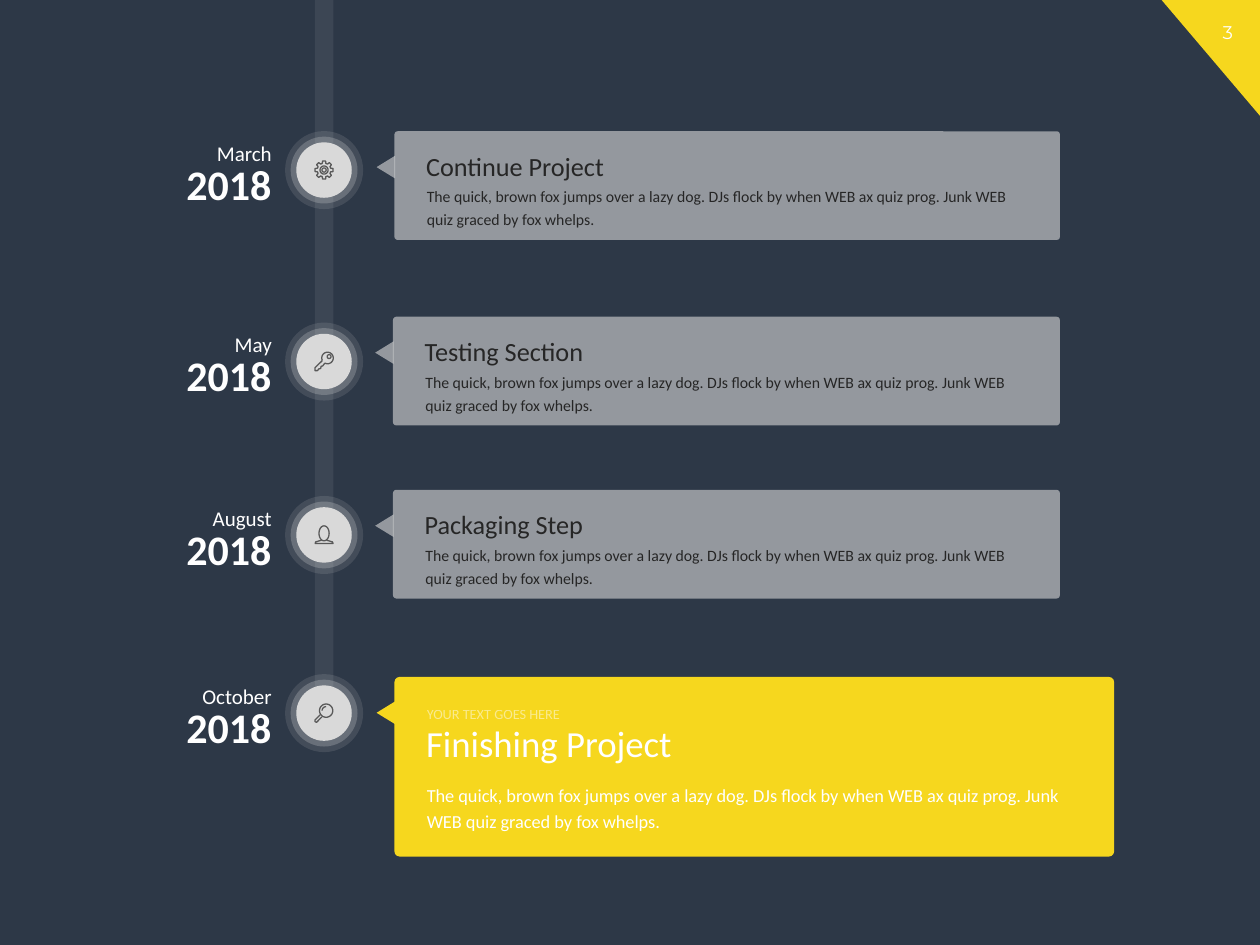
from math import cos, pi, sin

from lxml import etree
from pptx import Presentation
from pptx.dml.color import RGBColor
from pptx.enum import shapes, text
from pptx.oxml.ns import qn
from pptx.util import Pt

NAVY, YELLOW, LIGHT, WHITE = "2D3847", "F6D71E", "D9D9D9", "FFFFFF"
DARK, ICON = "262626", "595959"
BODY = ("The quick, brown fox jumps over a lazy dog. DJs flock by when WEB ax "
        "quiz prog. Junk WEB quiz graced by fox whelps.")
MSO = shapes.MSO_SHAPE
LEFT, RIGHT, CENTER = text.PP_ALIGN.LEFT, text.PP_ALIGN.RIGHT, text.PP_ALIGN.CENTER


def paint(fmt, color, alpha=100):
    """Give a fill a solid colour with an opacity in percent."""
    fmt.solid()
    fmt.fore_color.rgb = RGBColor.from_string(color)
    if alpha < 100:
        clr = fmt._xPr.find(".//" + qn("a:srgbClr"))
        etree.SubElement(clr, qn("a:alpha")).set("val", str(alpha * 1000))


def add_shape(s, kind, x, y, w, h, color, alpha=100, rotation=0):
    """Add a borderless preset shape."""
    sp = s.shapes.add_shape(kind, Pt(x), Pt(y), Pt(w), Pt(h))
    sp.shadow.inherit = False
    sp.line.fill.background()
    sp.rotation = rotation
    paint(sp.fill, color, alpha)
    return sp


def add_text(s, x, y, w, h, words, size, color, align=LEFT, spacing=None,
             bold=False, alpha=100, font="Calibri"):
    """Add a wrapped one-paragraph text box."""
    tf = s.shapes.add_textbox(Pt(x), Pt(y), Pt(w), Pt(h)).text_frame
    tf.word_wrap = True
    p = tf.paragraphs[0]
    p.text = words
    p.alignment = align
    p.line_spacing = spacing
    r = p.runs[0]
    r.font.size, r.font.name, r.font.bold = Pt(size), font, bold
    paint(r.font.fill, color, alpha)


def arc(cx, cy, rx, ry, start=0, end=360, steps=24):
    """Return points along an elliptical arc given in degrees."""
    angles = [(start + (end - start) * i / steps) * pi / 180 for i in range(steps + 1)]
    return [(cx + rx * cos(a), cy + ry * sin(a)) for a in angles]


def gear():
    """Return the strokes of a gear."""
    teeth = [(r * cos(a), r * sin(a)) for i in range(8)
             for r, d in ((3.9, -.26), (5.2, -.17), (5.2, .17), (3.9, .26))
             for a in [i * pi / 4 + d]]
    return [teeth + teeth[:1], arc(0, 0, 2.3, 2.3), arc(0, 0, 1.2, 1.2)]


def key():
    """Return the strokes of a key."""
    shaft = [(-1, -.5), (-5.2, 3.6), (-5.2, 5.2), (-3.8, 5.2), (-2.9, 4.2),
             (-1.9, 4), (-1.7, 2.8), (-.7, 2.5), (.4, 1)]
    return [arc(2, -2, 3.3, 3.3, -206, 120), shaft, arc(2.9, -2.8, 1.1, 1.1)]


def person():
    """Return the strokes of a head and shoulders."""
    shoulders = [(-1.4, 3), (-4.8, 4), (-5.1, 4.9), (5.1, 4.9), (4.8, 4), (1.4, 3)]
    return [arc(0, -.9, 2.9, 4.3), shoulders]


def magnifier():
    """Return the strokes of a magnifying glass."""
    handle = [(-2.2, 1), (-5.2, 4), (-5.1, 5), (-4.2, 5.2), (-1.2, 2.1)]
    return [arc(1.2, -1.4, 3.8, 3.8), handle, arc(1.2, -1.4, 2.3, 2.3, 180, 270)]


def add_icon(s, cx, cy, strokes):
    """Draw strokes as one outline around a centre."""
    placed = [[(Pt(cx + x), Pt(cy + y)) for x, y in stroke] for stroke in strokes]
    fb = s.shapes.build_freeform(*placed[0][0])
    for i, stroke in enumerate(placed):
        if i:
            fb.move_to(*stroke[0])
        fb.add_line_segments(stroke[1:], close=False)
    sp = fb.convert_to_shape()
    sp.shadow.inherit = False
    sp.fill.background()
    sp.line.width = Pt(0.75)
    paint(sp.line.fill, ICON)


def add_milestone(s, cx, cy, month, strokes):
    """Place the date and the ringed icon around a point on the line."""
    add_text(s, cx - 116.6, cy - 10.2, 93.6, 36, "2018", 24, WHITE, RIGHT, bold=True)
    add_text(s, cx - 108.5, cy - 23.4, 85.7, 24.5, month, 12, WHITE, RIGHT, 1.2)
    for d, alpha in ((44.6, 13), (38.2, 25), (31.7, 100)):
        add_shape(s, MSO.OVAL, cx - d / 2, cy - d / 2, d, d, LIGHT, alpha)
    add_icon(s, cx, cy, strokes)


def add_bubble(s, x, y, w, h, color, alpha=100):
    """Place a rounded card with a pointer on its left."""
    sp = add_shape(s, MSO.ROUNDED_RECTANGLE, x, y, w, h, color, alpha)
    sp.adjustments[0] = 0.03
    add_shape(s, MSO.ISOSCELES_TRIANGLE, x - 11.4, y + 15.2, 13, 10.6, color, alpha, 270)


def add_step(s, x, y, w, h, title):
    """Place a grey step card."""
    add_bubble(s, x, y, w, h, LIGHT, 60)
    add_text(s, x + 11.4, y + 26.2, 350.6, 33, BODY, 9, DARK, spacing=1.2)
    add_text(s, x + 11, y + 7.2, 378.7, 25.2, title, 15, DARK)


def add_finish(s, x, y, w, h):
    """Place the highlighted final card."""
    add_bubble(s, x, y, w, h, YELLOW)
    add_text(s, x + 11.4, y + 55, 388.8, 38, BODY, 10.5, WHITE, spacing=1.2)
    add_text(s, x + 11, y + 21.6, 378.7, 32.4, "Finishing Project", 21, WHITE)
    add_text(s, x + 11.4, y + 10.8, 388.8, 19.4, "YOUR TEXT GOES HERE", 8.2, WHITE,
             spacing=1.2, alpha=50)


def add_corner(s, x, y, w, h):
    """Place the page number on its corner triangle."""
    add_shape(s, MSO.RIGHT_TRIANGLE, x, y, w, h, YELLOW, rotation=180)
    add_text(s, x + 19.5, y + 8.6, 36.7, 20.2, "3", 10.5, WHITE, CENTER, font="Montserrat")


def main():
    """Build the timeline slide."""
    prs = Presentation()
    prs.slide_width, prs.slide_height = Pt(720), Pt(540)
    s = prs.slides.add_slide(prs.slide_layouts[6])
    paint(s.background.fill, NAVY)
    add_corner(s, 663.8, 0, 56.2, 66.2)
    add_shape(s, MSO.RECTANGLE, 180, 0, 10.6, 410, LIGHT, 9)
    milestones = [("March", 97.2, gear), ("May", 206.6, key),
                  ("August", 305.7, person), ("October", 407.5, magnifier)]
    for month, cy, icon in milestones:
        add_milestone(s, 185.2, cy, month, icon())
    steps = [("Continue Project", 225.4, 75), ("Testing Section", 224.6, 181),
             ("Packaging Step", 224.6, 279.9)]
    for title, x, y in steps:
        add_step(s, x, y, 605.7 - x, 62.1, title)
    add_finish(s, 225.4, 386.8, 411.3, 102.7)
    prs.save("out.pptx")


if __name__ == "__main__":
    main()
